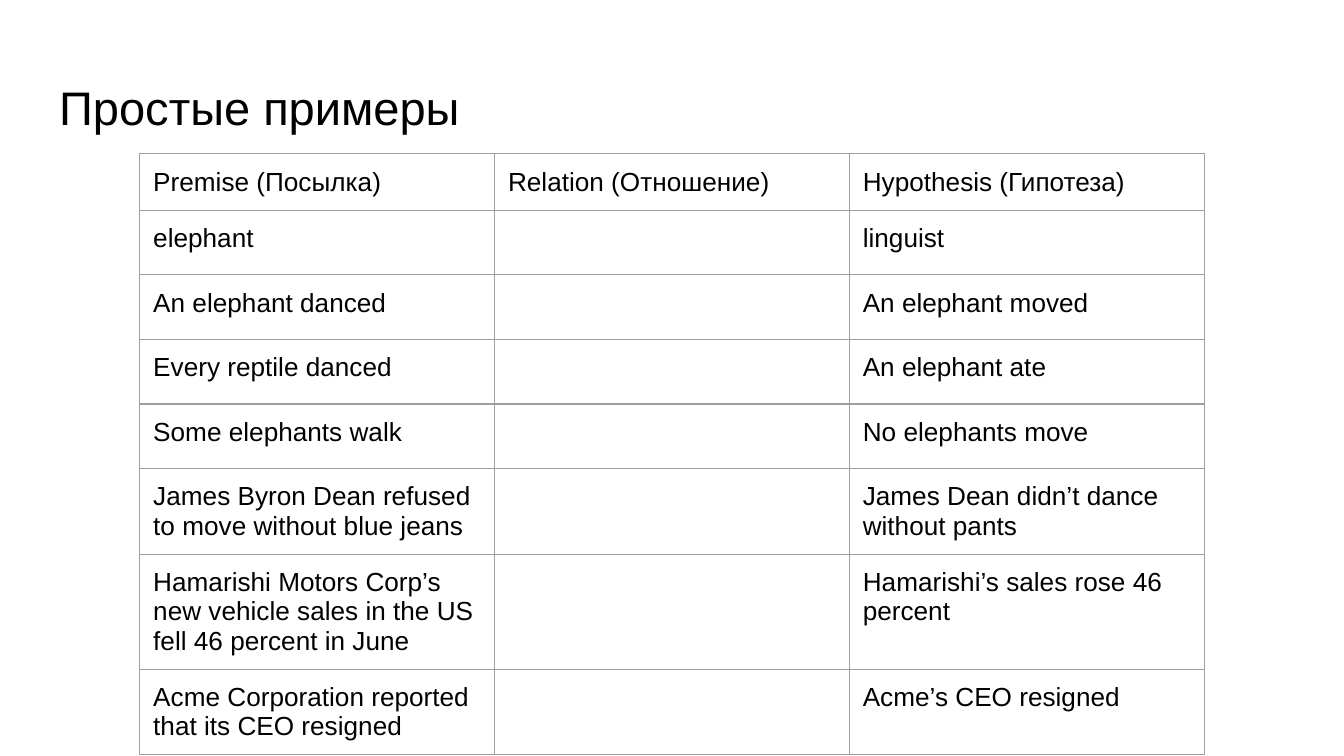
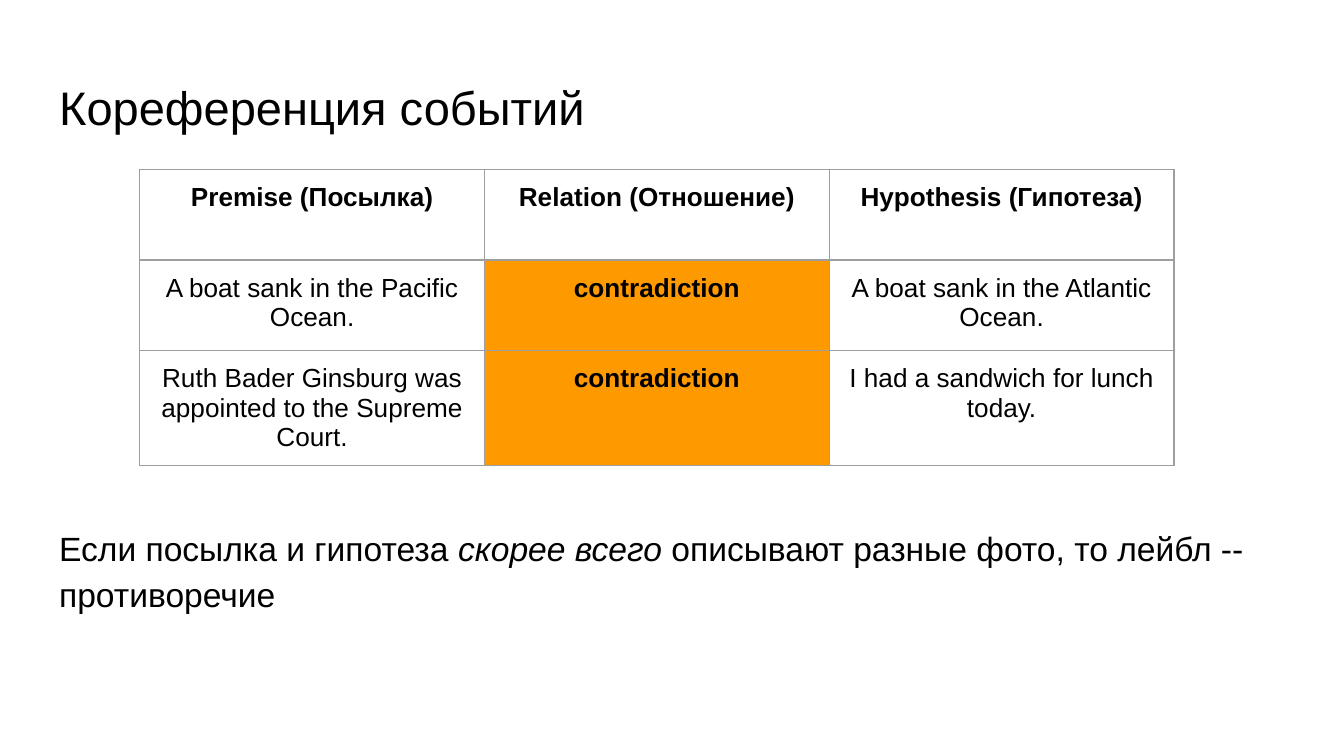
import dataclasses
import typing

import lxml.etree
import pptx
import pptx.dml.color
import pptx.enum.text
import pptx.oxml.ns
import pptx.util

EMU_PER_PX = 4572  # 200 px to the inch
SLIDE_WIDTH, SLIDE_HEIGHT = 2000, 1125
MARGIN, TITLE_TOP, TITLE_HEIGHT = 68, 97, 126
BODY_TOP, BODY_HEIGHT, BODY_INSET_TOP = 252, 748, 524
TEXT_WIDTH = SLIDE_WIDTH - 2 * MARGIN
INSET = 20
TABLE_LEFT = 208

FONT = "Arial"
TITLE_SIZE, BODY_SIZE, CELL_SIZE = 25.2, 18, 14
BLACK, WHITE, GRID, ORANGE = "000000", "FFFFFF", "9E9E9E", "FF9900"
LEFT = pptx.enum.text.PP_ALIGN.LEFT
CENTER = pptx.enum.text.PP_ALIGN.CENTER
TITLE_AND_BODY, TITLE_ONLY = 1, 5

HEADER = ("Premise (Посылка)", "Relation (Отношение)", "Hypothesis (Гипотеза)")


class Span(typing.NamedTuple):
    text: str
    italic: bool = False


@dataclasses.dataclass(frozen=True)
class PairTable:
    """Premise, relation and hypothesis rows under the shared header."""
    top: int
    column_width: int
    row_height: int
    pairs: tuple[tuple[str, str, str], ...]
    align: pptx.enum.text.PP_ALIGN = LEFT
    bold_header: bool = False
    relation_fill: str = WHITE


@dataclasses.dataclass(frozen=True)
class Topic:
    title: str
    table: PairTable
    conclusion: tuple[Span, ...] = ()


TOPICS = (
    Topic("Простые примеры", PairTable(229, 528, 84, (
        ("elephant", "", "linguist"),
        ("An elephant danced", "", "An elephant moved"),
        ("Every reptile danced", "", "An elephant ate"),
        ("Some elephants walk", "", "No elephants move"),
        ("James Byron Dean refused to move without blue jeans", "",
         "James Dean didn’t dance without pants"),
        ("Hamarishi Motors Corp’s new vehicle sales in the US fell 46 percent in June", "",
         "Hamarishi’s sales rose 46 percent"),
        ("Acme Corporation reported that its CEO resigned", "", "Acme’s CEO resigned"),
    ))),
    Topic("Кореференция событий", PairTable(252, 513, 135, (
        ("A boat sank in the Pacific Ocean.", "contradiction",
         "A boat sank in the Atlantic Ocean."),
        ("Ruth Bader Ginsburg was appointed to the Supreme Court.", "contradiction",
         "I had a sandwich for lunch today."),
    ), CENTER, True, ORANGE), (
        Span("Если посылка и гипотеза "),
        Span("скорее всего", italic=True),
        Span(" описывают разные фото, то лейбл -- противоречие"),
    )),
)


def px(length: int) -> pptx.util.Emu:
    return pptx.util.Emu(length * EMU_PER_PX)


def color(hex_value: str) -> pptx.dml.color.RGBColor:
    return pptx.dml.color.RGBColor.from_string(hex_value)


def add_element(parent, tag: str, **attributes: str):
    return lxml.etree.SubElement(parent, pptx.oxml.ns.qn(tag), **attributes)


def add_run(paragraph, text: str, size: float, bold: bool = False, italic: bool = False) -> None:
    run = paragraph.add_run()
    run.text = text
    run.font.name = FONT
    run.font.size = pptx.util.Pt(size)
    run.font.bold = bold
    run.font.italic = italic
    run.font.color.rgb = color(BLACK)


def set_insets(holder) -> None:
    """Give a text frame or a table cell the shared margins."""
    holder.margin_left = holder.margin_right = px(INSET)
    holder.margin_top = holder.margin_bottom = px(INSET)


def place_text(placeholder, top: int, height: int):
    """Move a placeholder to the text column and return its first paragraph."""
    placeholder.left, placeholder.top = px(MARGIN), px(top)
    placeholder.width, placeholder.height = px(TEXT_WIDTH), px(height)
    frame = placeholder.text_frame
    frame.word_wrap = True
    frame.auto_size = pptx.enum.text.MSO_AUTO_SIZE.NONE
    frame.vertical_anchor = pptx.enum.text.MSO_ANCHOR.TOP
    set_insets(frame)
    paragraph = frame.paragraphs[0]
    paragraph.alignment = LEFT
    paragraph.space_before = pptx.util.Pt(0)
    return paragraph


def add_conclusion(placeholder, spans: tuple[Span, ...]) -> None:
    """Write the conclusion into the body, inset to start below the table."""
    paragraph = place_text(placeholder, BODY_TOP, BODY_HEIGHT)
    placeholder.text_frame.margin_top = px(BODY_INSET_TOP)
    paragraph.line_spacing = 1.15
    paragraph.space_after = pptx.util.Pt(12)
    properties = paragraph._p.get_or_add_pPr()
    properties.set("marL", "0")
    properties.set("indent", "0")
    add_element(properties, "a:buNone")
    for span in spans:
        add_run(paragraph, span.text, BODY_SIZE, italic=span.italic)


def set_borders(cell) -> None:
    properties = cell._tc.get_or_add_tcPr()
    for side in ("a:lnL", "a:lnR", "a:lnT", "a:lnB"):
        line = add_element(properties, side, w=str(pptx.util.Pt(0.75)))
        add_element(add_element(line, "a:solidFill"), "a:srgbClr", val=str(color(GRID)))


def set_empty_font(paragraph) -> None:
    """Give a paragraph without runs the font that sets its line height."""
    end = add_element(paragraph._p, "a:endParaRPr", sz=str(BODY_SIZE * 100))
    add_element(end, "a:latin", typeface=FONT)


def add_pair_table(slide, pair_table: PairTable) -> None:
    rows = (HEADER, *pair_table.pairs)
    grid = slide.shapes.add_table(
        len(rows), len(HEADER), px(TABLE_LEFT), px(pair_table.top),
        px(pair_table.column_width * len(HEADER)),
        px(pair_table.row_height * len(rows))).table
    grid.first_row = grid.horz_banding = False
    for column in grid.columns:
        column.width = px(pair_table.column_width)
    for row_index, texts in enumerate(rows):
        grid.rows[row_index].height = px(pair_table.row_height)
        for column_index, text in enumerate(texts):
            is_header = row_index == 0
            is_relation = column_index == 1 and not is_header
            cell = grid.cell(row_index, column_index)
            set_insets(cell)
            set_borders(cell)
            cell.fill.solid()
            cell.fill.fore_color.rgb = color(pair_table.relation_fill if is_relation else WHITE)
            paragraph = cell.text_frame.paragraphs[0]
            paragraph.alignment = pair_table.align
            if text:
                bold = is_relation or (is_header and pair_table.bold_header)
                add_run(paragraph, text, CELL_SIZE, bold)
            else:
                set_empty_font(paragraph)


def add_topic(deck, topic: Topic) -> None:
    layout = TITLE_AND_BODY if topic.conclusion else TITLE_ONLY
    slide = deck.slides.add_slide(deck.slide_layouts[layout])
    add_run(place_text(slide.shapes.title, TITLE_TOP, TITLE_HEIGHT), topic.title, TITLE_SIZE)
    if topic.conclusion:
        add_conclusion(slide.placeholders[1], topic.conclusion)
    add_pair_table(slide, topic.table)


def main() -> None:
    deck = pptx.Presentation()
    deck.slide_width, deck.slide_height = px(SLIDE_WIDTH), px(SLIDE_HEIGHT)
    for topic in TOPICS:
        add_topic(deck, topic)
    deck.save("out.pptx")


if __name__ == "__main__":
    main()
